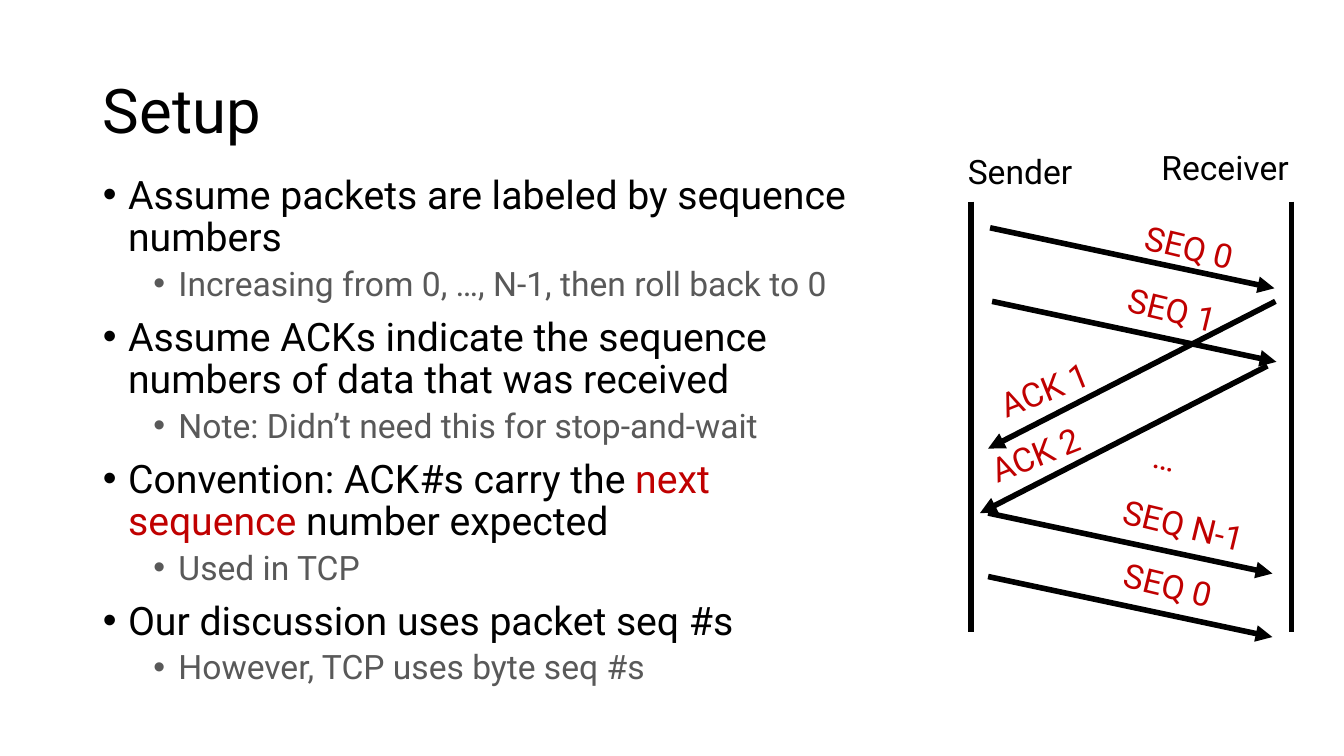
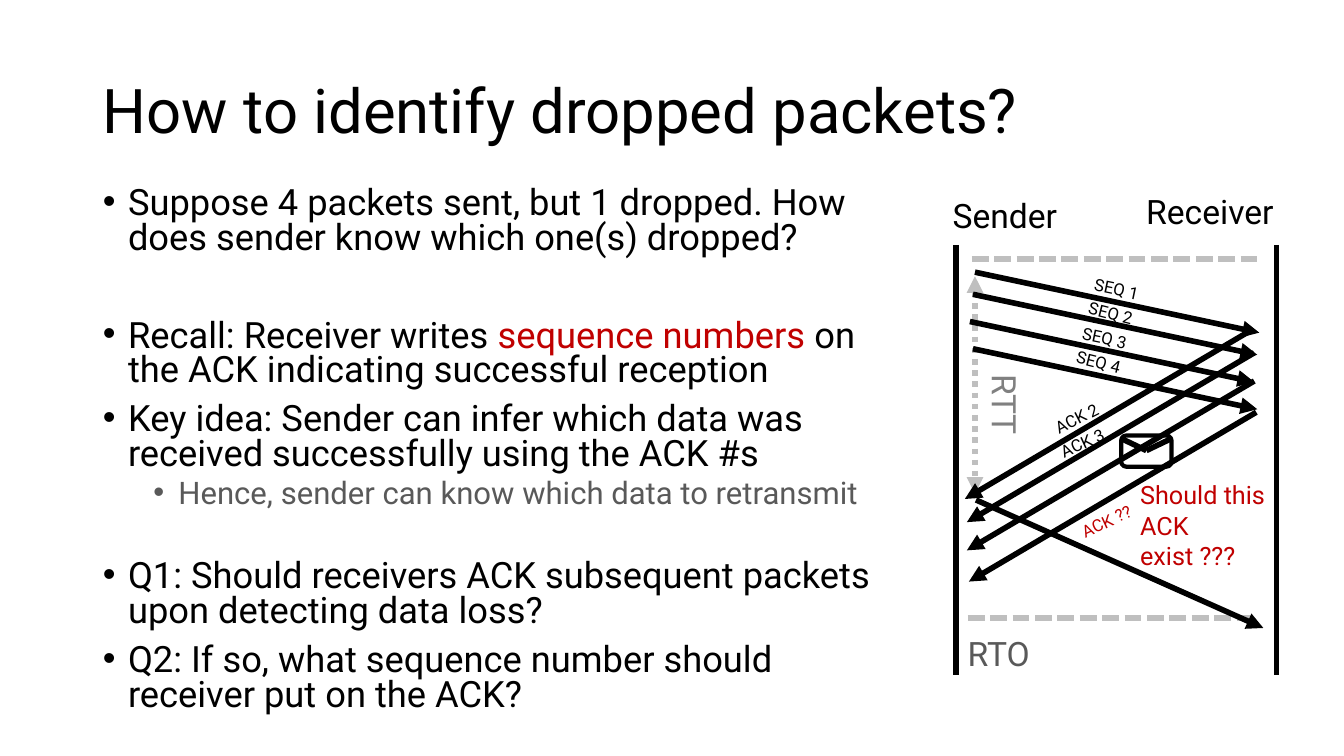
from lxml.etree import SubElement
from pptx import Presentation
from pptx.dml.color import RGBColor
from pptx.enum.dml import MSO_LINE
from pptx.enum.shapes import MSO_CONNECTOR, MSO_SHAPE
from pptx.enum.text import MSO_ANCHOR, MSO_AUTO_SIZE, PP_ALIGN
from pptx.oxml.ns import qn
from pptx.util import Inches, Pt

COLORS = {"ink": "000000", "red": "C00000", "grey": "595959", "mid": "808080", "pale": "BFBFBF"}
FONT = "Roboto"
SEND_DX, SEND_DY = 2.82, 0.6
ACK_DX = -2.85

SETUP = {
    "title": "Setup",
    "body": (0.92, 1.69, 7.71, 5.41), "sizes": (28, 24), "spacing": 0.9,
    "items": [
        (0, 10, [("Assume packets are labeled by sequence numbers", "ink")]),
        (1, 5, [("Increasing from 0, …, N-1, then roll back to 0", "grey")]),
        (0, 10, [("Assume ACKs indicate the sequence numbers of data that was received", "ink")]),
        (1, 5, [("Note: Didn’t need this for stop-and-wait", "grey")]),
        (0, 10, [("Convention: ACK#s carry the ", "ink"), ("next sequence ", "red"),
                 ("number expected", "ink")]),
        (1, 5, [("Used in TCP", "grey")]),
        (0, 10, [("Our discussion uses packet seq #s", "ink")]),
        (1, 5, [("However, TCP uses byte seq #s", "grey")]),
    ],
    "rails": (9.63, 2),
    "sends": [(9.82, 2.26), (9.84, 2.99), (9.8, 5.09), (9.8, 5.72)],
    "acks": [(12.65, 2.99), (12.57, 3.63)], "ack_dy": 1.46,
    "labels": [
        ("SEQ 0", 11.25, 2.23, 1.34, 0.5, 24, "red", 13.7),
        ("SEQ 1", 11.08, 2.85, 1.34, 0.5, 24, "red", 13.7),
        ("SEQ N-1", 11.03, 4.98, 1.61, 0.5, 24, "red", 13.7),
        ("SEQ 0", 11.04, 5.58, 1.34, 0.5, 24, "red", 13.7),
        ("…", 11.33, 4.43, 1.61, 0.5, 24, "red", 13.7),
        ("ACK 1", 9.8, 3.6, 1.17, 0.5, 24, "red", 338.2),
        ("ACK 2", 9.71, 4.24, 1.17, 0.5, 24, "red", 338.2),
    ],
}

DROPPED = {
    "title": "How to identify dropped packets?",
    "body": (0.92, 1.81, 7.87, 5.69), "sizes": (25.9, 22.2), "spacing": 0.8,
    "items": [
        (0, 10, [("Suppose 4 packets sent, but 1 dropped. How does sender know which one(s) dropped?",
                  "ink")]),
        (0, 45, [("Recall: Receiver writes ", "ink"), ("sequence numbers ", "red"),
                 ("on the ACK indicating successful reception", "ink")]),
        (0, 10, [("Key idea: Sender can infer which data was received successfully using the ACK #s",
                  "ink")]),
        (1, 5, [("Hence, sender can know which data to retransmit", "grey")]),
        (0, 36, [("Q1: Should receivers ACK subsequent packets upon detecting data loss?", "ink")]),
        (0, 10, [("Q2: If so, what sequence number should receiver put on the ACK?", "ink")]),
    ],
    "rails": (9.48, 2.43),
    "sends": [(9.67, 2.7), (9.65, 2.92), (9.62, 3.19), (9.65, 3.46)],
    "acks": [(12.42, 3.27), (12.44, 3.5), (12.44, 3.78), (12.46, 4.09)], "ack_dy": 1.68,
    "labels": [
        ("RTT", 9.42, 3.92, 1.1, 0.5, 24, "mid", 90),
        ("RTO", 9.5, 6.23, 1.1, 0.5, 24, "grey", 0),
        ("Should this ACK exist ???", 11.21, 4.71, 1.53, 1.01, 18, "red", 0),
        *[(f"SEQ {i + 1}", 10.75 - 0.06 * i, 2.76 + 0.243 * i, 1.05, 0.3, 12, "ink",
           (11.9, 14.2)[i % 2]) for i in range(4)],
        ("ACK 2", 10.33, 3.91, 1.05, 0.3, 12, "ink", 333),
        ("ACK 3", 10.39, 4.16, 1.05, 0.3, 12, "ink", 335.2),
        ("ACK ??", 10.6, 4.95, 1.05, 0.3, 12, "red", 335.2),
    ],
}


def rgb(name):
    return RGBColor.from_string(COLORS[name])


def add_run(p, text, size, color):
    r = p.add_run()
    r.text = text
    r.font.size, r.font.name = Pt(size), FONT
    r.font.color.rgb = rgb(color)


def place(sp, box):
    sp.left, sp.top, sp.width, sp.height = map(Inches, box)


def add_line(s, x1, y1, x2, y2, color="ink", dash=None, ends=("tailEnd",)):
    c = s.shapes.add_connector(MSO_CONNECTOR.STRAIGHT, *map(Inches, (x1, y1, x2, y2)))
    c.line.width = Pt(4)
    c.line.color.rgb = rgb(color)
    if dash:
        c.line.dash_style = dash
    ln = c.line._get_or_add_ln()
    for end in ends:
        SubElement(ln, qn(f"a:{end}")).set("type", "triangle")
    SubElement(c._element.spPr, qn("a:effectLst"))


def add_label(s, text, x, y, w, h, size=24, color="ink", angle=0):
    sp = s.shapes.add_textbox(*map(Inches, (x, y, w, h)))
    sp.rotation = angle
    sp.text_frame.word_wrap = True
    add_run(sp.text_frame.paragraphs[0], text, size, color)


def add_title(s, text):
    sp = s.shapes.title
    place(sp, (0.92, 0.4, 11.5, 1.45))
    tf = sp.text_frame
    tf.auto_size, tf.vertical_anchor = MSO_AUTO_SIZE.NONE, MSO_ANCHOR.MIDDLE
    p = tf.paragraphs[0]
    p.alignment, p.line_spacing = PP_ALIGN.LEFT, 0.9
    add_run(p, text, 44, "ink")


def add_body(s, data):
    sp = s.placeholders[1]
    place(sp, data["body"])
    tf = sp.text_frame
    tf.auto_size = MSO_AUTO_SIZE.NONE
    for i, (level, before, runs) in enumerate(data["items"]):
        p = tf.add_paragraph() if i else tf.paragraphs[0]
        p.level, p.line_spacing = level, data["spacing"]
        p.space_before = Pt(before if i else 0)
        pPr = p._p.get_or_add_pPr()
        pPr.set("marL", str(Inches(0.25 + 0.5 * level)))
        pPr.set("indent", str(Inches(-0.25)))
        SubElement(pPr, qn("a:buFont")).set("typeface", "Arial")
        SubElement(pPr, qn("a:buChar")).set("char", "•")
        for text, color in runs:
            add_run(p, text, data["sizes"][level], color)


def add_timing(s):
    for x, y in ((9.6, 6.13), (9.64, 2.57)):
        add_line(s, x, y, x - ACK_DX, y, "pale", MSO_LINE.SQUARE_DOT, ())
    add_line(s, 9.67, 2.74, 9.67, 4.9, "pale", MSO_LINE.ROUND_DOT, ("headEnd", "tailEnd"))
    add_line(s, 9.68, 4.96, 12.53, 6.23)


def add_envelope(s, x, y, w, h):
    sp = s.shapes.add_shape(MSO_SHAPE.ROUNDED_RECTANGLE, *map(Inches, (x, y, w, h)))
    sp.shadow.inherit = False
    sp.fill.background()
    sp.line.color.rgb, sp.line.width = rgb("ink"), Pt(3)
    for edge in (x, x + w):
        add_line(s, edge, y + 0.03, x + w / 2, y + 0.15, ends=())


def add_sequence(s, data):
    x, y = data["rails"]
    for rail in (x, x + 3.18):
        add_line(s, rail, y, rail, y + 4.27, ends=())
    add_label(s, "Sender", x - 0.13, y - 0.55, 1.51, 0.5)
    add_label(s, "Receiver", x + 1.79, y - 0.59, 1.68, 0.5)
    moves = (("sends", SEND_DX, SEND_DY), ("acks", ACK_DX, data["ack_dy"]))
    for key, dx, dy in moves:
        for x1, y1 in data[key]:
            add_line(s, x1, y1, x1 + dx, y1 + dy)
    for label in data["labels"]:
        add_label(s, *label)


def main():
    """Build two slides on packet sequence numbers and acknowledgements."""
    prs = Presentation()
    prs.slide_width, prs.slide_height = Inches(13.33), Inches(7.5)
    for data in (SETUP, DROPPED):
        s = prs.slides.add_slide(prs.slide_layouts[1])
        add_title(s, data["title"])
        add_body(s, data)
        if data is DROPPED:
            add_timing(s)
        add_sequence(s, data)
    add_envelope(s, 11.12, 4.32, 0.5, 0.31)
    prs.save("out.pptx")


if __name__ == "__main__":
    main()
